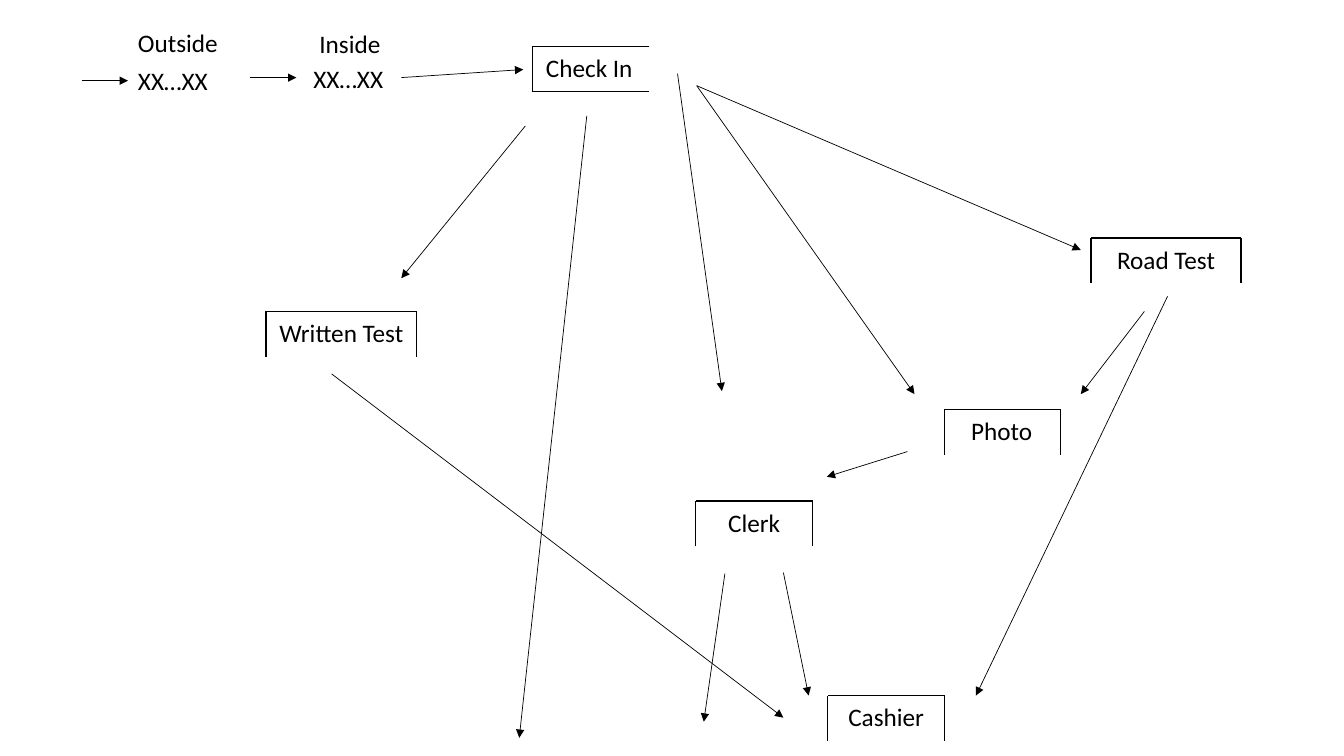
"""Draw the flow of visitors through a licence office."""
import lxml.etree
import pptx
import pptx.dml.color
import pptx.enum.shapes
import pptx.enum.text
import pptx.oxml.ns
import pptx.util

BLACK = pptx.dml.color.RGBColor(0, 0, 0)
WIDE, HIGH = pptx.util.Inches(13.33), pptx.util.Inches(7.5)
COLS, ROWS = 1333, 750
TEXT_HIGH = 40
LEFT, CENTER = pptx.enum.text.PP_ALIGN.LEFT, pptx.enum.text.PP_ALIGN.CENTER

STATIONS = [
    ("Check In", (528, 46, 116, 45), 3, ("top", "bottom", "left")),
    ("Written Test", (264, 309, 149, 45), 0, ("top", "left", "right")),
    ("Road Test", (1082, 236, 149, 45), 0, ("top", "left", "right")),
    ("Photo", (937, 406, 115, 45), 2, ("top", "left", "right")),
    ("Clerk", (690, 497, 116, 45), 0, ("top", "left", "right")),
    ("Cashier", (821, 690, 116, 45), 0, ("top", "left", "right")),
]
FLOWS = [
    ((398, 77), (519, 69)),
    ((521, 125), (398, 276)),
    ((582, 115), (515, 732)),
    ((672, 73), (716, 388)),
    ((691, 85), (907, 391)),
    ((691, 85), (1072, 248)),
    ((329, 371), (777, 712)),
    ((1135, 309), (1072, 391)),
    ((1158, 294), (968, 690)),
    ((900, 448), (820, 473)),
    ((719, 569), (698, 716)),
    ((777, 568), (802, 690)),
]


def col(n):
    """Turn grid columns into a length."""
    return round(WIDE * n / COLS)


def row(n):
    """Turn grid rows into a length."""
    return round(HIGH * n / ROWS)


def line(slide, start, end, width=1, arrow=False):
    """Draw a straight black line, with an arrowhead if asked."""
    link = slide.shapes.add_connector(
        pptx.enum.shapes.MSO_CONNECTOR.STRAIGHT,
        col(start[0]), row(start[1]), col(end[0]), row(end[1]))
    link.line.color.rgb = BLACK
    link.line.width = pptx.util.Pt(width)
    qn = pptx.oxml.ns.qn
    props = link._element.spPr
    if arrow:
        stroke = props.find(qn("a:ln"))
        lxml.etree.SubElement(stroke, qn("a:tailEnd"), type="triangle")
    lxml.etree.SubElement(props, qn("a:effectLst"))
    return link


def label(slide, text, left, top, wide, align=LEFT):
    """Write one line of text in a box."""
    box = slide.shapes.add_textbox(
        col(left), row(top), col(wide), row(TEXT_HIGH))
    frame = box.text_frame
    frame.word_wrap = True
    frame.auto_size = pptx.enum.text.MSO_AUTO_SIZE.SHAPE_TO_FIT_TEXT
    para = frame.paragraphs[0]
    para.alignment = align
    run = para.add_run()
    run.text = text
    run.font.name = "Calibri"
    run.font.size = pptx.util.Pt(18)
    run.font.color.rgb = BLACK
    return box


def station(slide, text, box, trim, sides):
    """Draw a desk with an open side and its name."""
    left, top, wide, high = box
    right, base = left + wide, top + high
    edges = {
        "top": ((right, top), (left, top)),
        "bottom": ((right, base), (left, base)),
        "left": ((left, base), (left, top)),
        "right": ((right, base), (right, top)),
    }
    for side in sides:
        line(slide, *edges[side])
    label(slide, text, left, top + 1, wide - trim, CENTER)


def queue(slide, text, box, indent, drop):
    """Draw a waiting line with its name, and return its text box."""
    left, top, wide = box
    label(slide, text, left + indent, top, wide - indent)
    return label(slide, "XX…XX", left, top + drop, wide)


def entry(slide):
    """Draw the two waiting lines and the arrows into them."""
    outer = queue(slide, "Outside", (127, 22, 122), 0, 38)
    queue(slide, "Inside", (301, 23, 122), 6, 35)
    line(slide, (81, 80), (127, 80), 0.5, True).end_connect(outer, 1)
    line(slide, (248, 77), (294, 77), 0.5, True)


def main():
    """Build and save the slide."""
    deck = pptx.Presentation()
    deck.slide_width, deck.slide_height = WIDE, HIGH
    slide = deck.slides.add_slide(deck.slide_layouts[6])
    entry(slide)
    for desk in STATIONS:
        station(slide, *desk)
    for start, end in FLOWS:
        line(slide, start, end, 0.5, True)
    deck.save("out.pptx")


if __name__ == "__main__":
    main()
